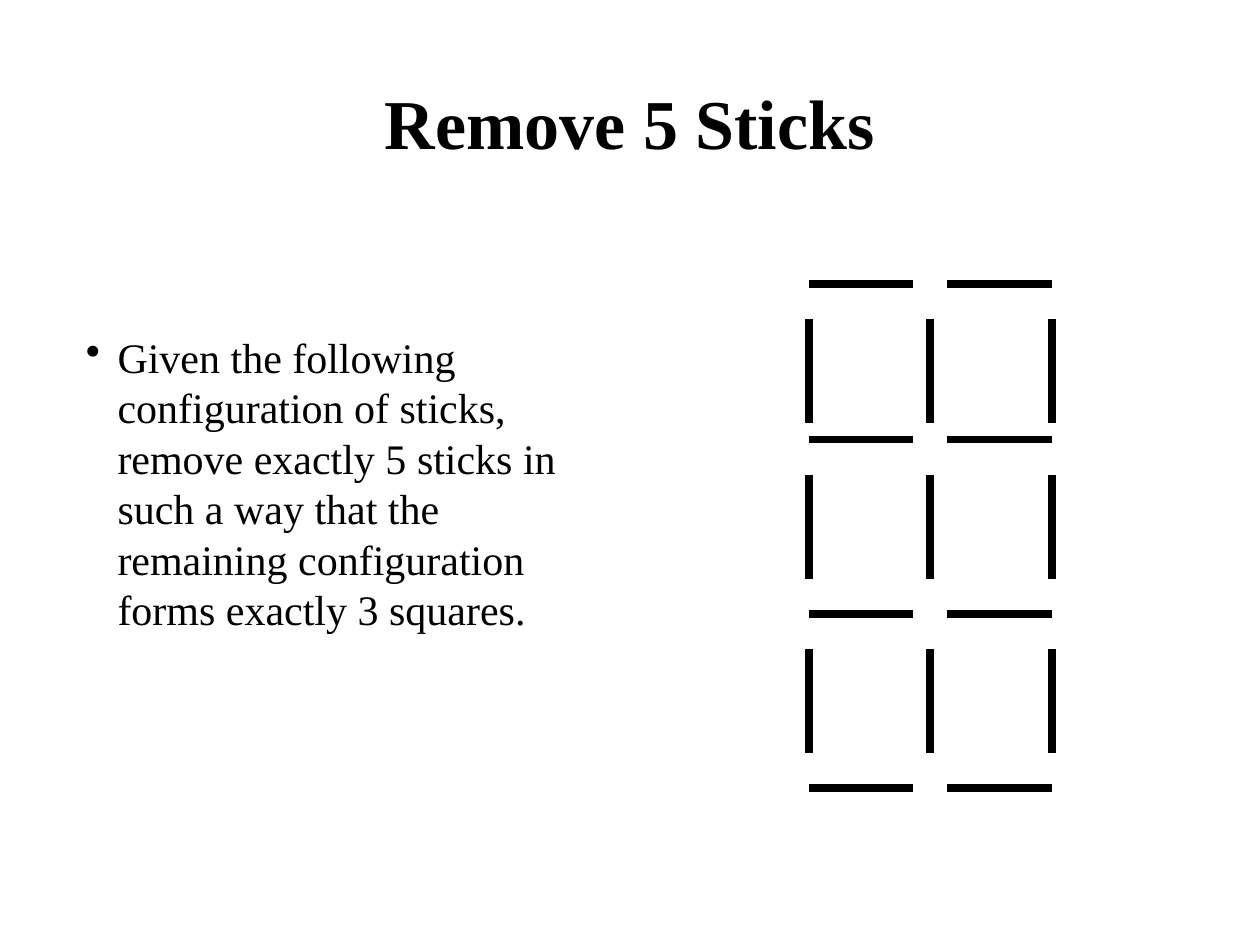
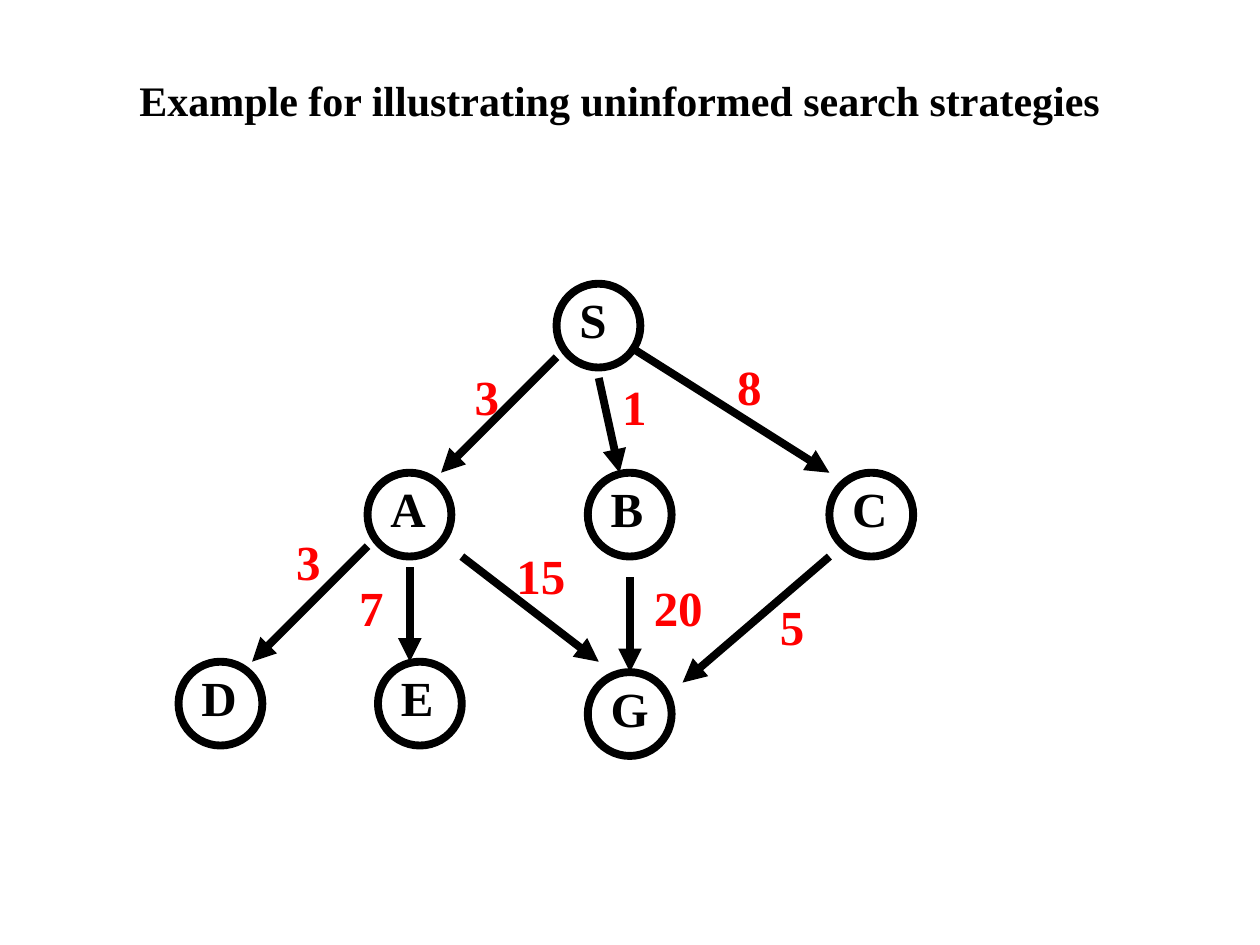
from pptx import Presentation
from pptx import util as u
from pptx.dml.color import RGBColor
from pptx.enum import shapes, text
from pptx.oxml.ns import qn
from lxml import etree

BLACK = RGBColor(0, 0, 0)
RED = RGBColor(255, 0, 0)
FONT = "Times New Roman"
STROKE = u.Pt(4.5)
NODE_SIZE = 1.69
LABEL_HEIGHT = 1.45

STICK = 2.1
STICK_GAP = 0.71
STICK_ROWS = (5.72, 8.86, 12.37, 15.88)
STICK_LEFTS = (16.3, 19.1)
STICK_COLUMNS = (16.3, 18.75, 21.2)

# letter, left, top, label width
NODES = (
    ("S", 11.22, 5.72, 1.04),
    ("C", 16.72, 9.53, 1.22),
    ("B", 11.85, 9.53, 1.17),
    ("A", 7.41, 9.53, 1.22),
    ("D", 3.6, 13.34, 1.22),
    ("G", 11.85, 13.55, 1.27),
    ("E", 7.62, 13.34, 1.17),
)
# cost, its left and top, arrow start, arrow end
EDGES = (
    ("3", (9.32, 7.26), (11.22, 7.2), (8.89, 9.53)),
    ("1", (12.29, 7.47), (12.07, 7.62), (12.49, 9.53)),
    ("8", (14.61, 7.06), (12.7, 6.99), (16.72, 9.53)),
    ("3", (5.72, 10.59), (7.41, 11.01), (5.08, 13.34)),
    ("7", (6.99, 11.51), (8.26, 11.43), (8.26, 13.34)),
    ("15", (10.16, 10.87), (9.31, 11.22), (12.07, 13.34)),
    ("20", (12.93, 11.51), (12.7, 11.64), (12.7, 13.55)),
    ("5", (15.47, 11.91), (16.72, 11.22), (13.76, 13.76)),
)


class Deck:
    """Holds the shared style and the slide being drawn; lengths are in cm."""

    def __init__(self):
        self.deck = Presentation()
        self.deck.slide_width = u.Cm(25.4)
        self.deck.slide_height = u.Cm(19.05)
        self.page = None

    def new_page(self):
        self.page = self.deck.slides.add_slide(self.deck.slide_layouts[6])

    def text(self, words, left, top, width, height, size,
             color=BLACK, bold=False, wrap=True, parent=None):
        parent = parent or self.page
        box = parent.shapes.add_textbox(*map(u.Cm, (left, top, width, height)))
        box.text_frame.word_wrap = wrap
        para = box.text_frame.paragraphs[0]
        para.text = words
        para.font.name = FONT
        para.font.size = u.Pt(size)
        para.font.bold = bold
        para.font.color.rgb = color
        return box

    def title(self, words, left, top, size):
        box = self.text(words, left, top, 21.59, 3.18, size, bold=True)
        box.text_frame.vertical_anchor = text.MSO_ANCHOR.MIDDLE
        box.text_frame.paragraphs[0].alignment = text.PP_ALIGN.CENTER

    def bullet(self, words, left, top, width, height):
        box = self.text(words, left, top, width, height, 24)
        para = box.text_frame.paragraphs[0]
        para.space_before = u.Pt(6)
        properties = para._p.get_or_add_pPr()
        indent = u.Cm(0.64)
        properties.set("marL", str(indent))
        properties.set("indent", str(-indent))
        mark = etree.Element(qn("a:buChar"), char="•")
        properties.insert_element_before(mark, "a:tabLst", "a:defRPr", "a:extLst")

    def label(self, words, left, top, width, color=BLACK, parent=None):
        self.text(words, left, top, width, LABEL_HEIGHT, 28, color,
                  bold=True, wrap=False, parent=parent)

    def line(self, start, end, arrow=False):
        line = self.page.shapes.add_connector(
            shapes.MSO_CONNECTOR.STRAIGHT, *map(u.Cm, (*start, *end)))
        line.line.color.rgb = BLACK
        line.line.width = STROKE
        if arrow:
            etree.SubElement(line.line._get_or_add_ln(), qn("a:tailEnd"),
                             type="triangle")
        etree.SubElement(line._element.spPr, qn("a:effectLst"))

    def node(self, letter, left, top, label_width):
        group = self.page.shapes.add_group_shape()
        circle = group.shapes.add_shape(
            shapes.MSO_SHAPE.OVAL,
            *map(u.Cm, (left, top, NODE_SIZE, NODE_SIZE)))
        circle.shadow.inherit = False
        circle.fill.background()
        circle.line.color.rgb = BLACK
        circle.line.width = STROKE
        self.label(letter, left + 0.21, top, label_width, parent=group)

    def cost(self, number, left, top):
        self.label(number, left, top, 0.5 + 0.5 * len(number), RED)


def draw_sticks(deck):
    deck.new_page()
    deck.title("Remove 5 Sticks", 1.9, 0.85, 40)
    deck.bullet("Given the following configuration of sticks, remove exactly "
                "5 sticks in such a way that the remaining configuration "
                "forms exactly 3 squares.", 1.48, 6.56, 10.37, 8.26)
    for row in STICK_ROWS:
        for left in STICK_LEFTS:
            deck.line((left, row), (left + STICK, row))
    for row in STICK_ROWS[:-1]:
        top = row + STICK_GAP
        for column in STICK_COLUMNS:
            deck.line((column, top), (column, top + STICK))


def draw_search_graph(deck):
    deck.new_page()
    deck.title("Example for illustrating uninformed search strategies",
               1.7, 0.42, 24)
    for node in NODES:
        deck.node(*node)
    for _, _, start, end in EDGES:
        deck.line(start, end, arrow=True)
    for number, place, _, _ in EDGES:
        deck.cost(number, *place)


def main():
    deck = Deck()
    draw_sticks(deck)
    draw_search_graph(deck)
    deck.deck.save("out.pptx")


if __name__ == "__main__":
    main()
